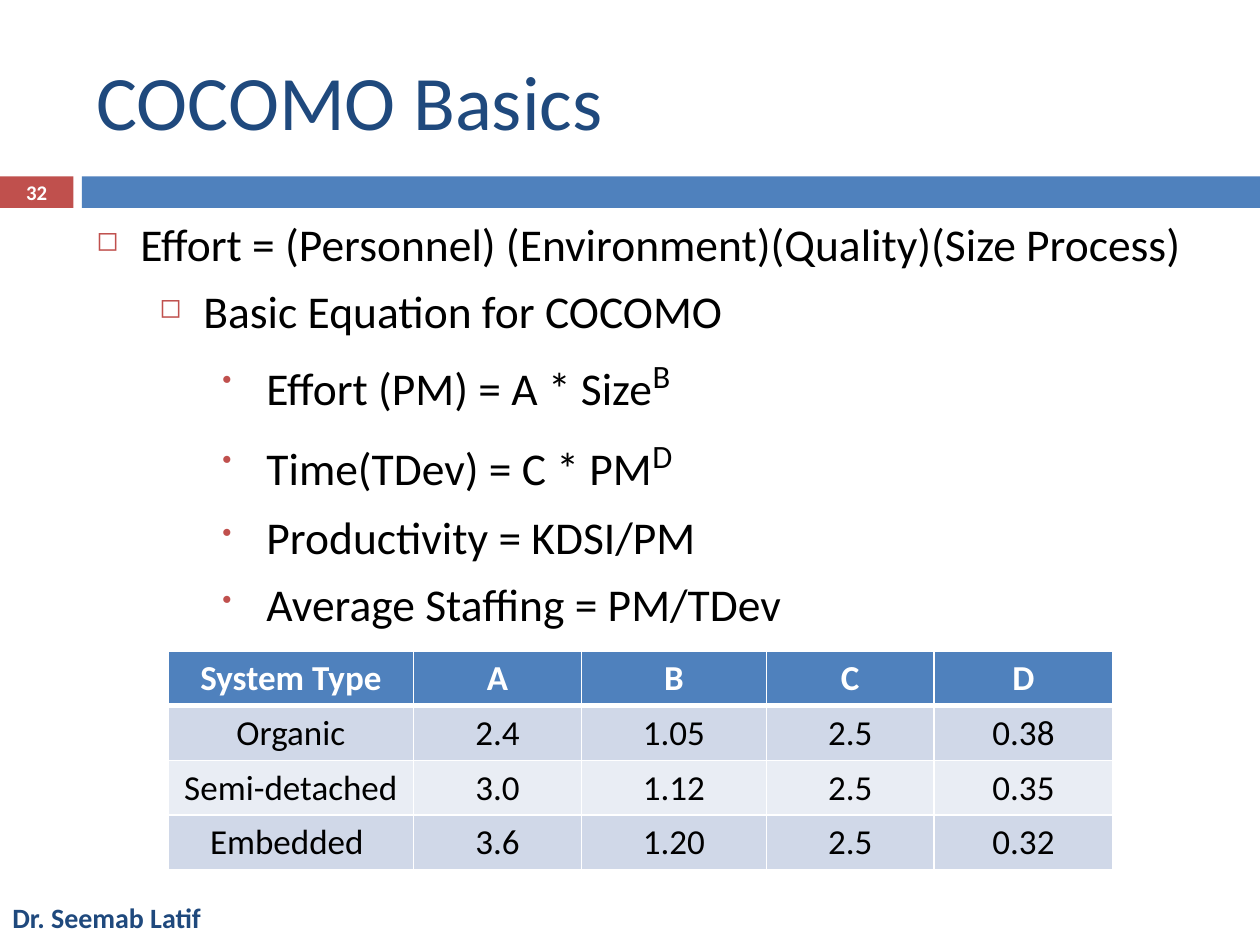
import pptx
import pptx.dml.color
import pptx.enum.shapes
import pptx.enum.text
import pptx.oxml
import pptx.oxml.ns
import pptx.util
from lxml import etree

Pt = pptx.util.Pt
ALIGN = pptx.enum.text.PP_ALIGN
ANCHOR = pptx.enum.text.MSO_ANCHOR

FONT = "Calibri"
NAVY, BLUE, RED = "1F497D", "4F81BD", "C0504D"
WHITE, BLACK = "FFFFFF", "000000"
BANDS = ["D0D8E8", "E9EDF4"]

BARS = [(0, 42, RED), (46.8, 673.2, BLUE)]
BULLETS = [
    (0, "Effort = (Personnel) (Environment)(Quality)(Size Process)", ""),
    (1, "Basic Equation for COCOMO", ""),
    (2, "Effort (PM) = A * Size", "B"),
    (2, "Time(TDev) = C * PM", "D"),
    (2, "Productivity = KDSI/PM", ""),
    (2, "Average Staffing = PM/TDev", ""),
]
BULLET_SIGNS = ["◻", "◻", "•"]
COLUMN_WIDTHS = [140.4, 95.76, 105.84, 95.76, 102.24]
ROW_HEIGHT = 31.2
ROWS = [
    ["System Type", "A", "B", "C", "D"],
    ["Organic", "2.4", "1.05", "2.5", "0.38"],
    ["Semi-detached", "3.0", "1.12", "2.5", "0.35"],
    ["Embedded ", "3.6", "1.20", "2.5", "0.32"],
]


def rgb(value):
    return pptx.dml.color.RGBColor.from_string(value)


def add_text(para, text, size=20, color=BLACK, bold=False, align=None, raised=0):
    span = para.add_run()
    span.text = text
    span.font.name = FONT
    span.font.size = Pt(size)
    span.font.bold = bold
    span.font.color.rgb = rgb(color)
    if align is not None:
        para.alignment = align
    if raised:
        span._r.get_or_add_rPr().set("baseline", str(raised * 1000))


def add_box(page, left, top, width, height, anchor=ANCHOR.TOP):
    box = page.shapes.add_textbox(Pt(left), Pt(top), Pt(width), Pt(height))
    frame = box.text_frame
    frame.word_wrap = True
    frame.vertical_anchor = anchor
    return frame


def add_child(parent, tag, **attributes):
    child = etree.SubElement(parent, pptx.oxml.ns.qn(tag))
    for name, value in attributes.items():
        child.set(name, str(value))
    return child


def set_bullet(para, level):
    properties = para._p.get_or_add_pPr()
    properties.set("marL", str(Pt(25.2 + 36 * level)))
    properties.set("indent", str(Pt(-25.2)))
    color = add_child(properties, "a:buClr")
    add_child(color, "a:srgbClr", val=RED)
    add_child(properties, "a:buSzPct", val=60000)
    add_child(properties, "a:buChar", char=BULLET_SIGNS[level])


def set_borders(cell, bottom):
    properties = cell._tc.get_or_add_tcPr()
    for side, width in [("L", 1), ("R", 1), ("T", 1), ("B", bottom)]:
        line = add_child(properties, "a:ln" + side, w=Pt(width))
        add_child(add_child(line, "a:solidFill"), "a:srgbClr", val=WHITE)


def add_bars(page):
    for left, width, color in BARS:
        bar = page.shapes.add_shape(
            pptx.enum.shapes.MSO_SHAPE.RECTANGLE, Pt(left), Pt(100.8), Pt(width), Pt(18))
        bar.shadow.inherit = False
        bar.fill.solid()
        bar.fill.fore_color.rgb = rgb(color)
        bar.line.fill.background()


def add_bullets(page):
    frame = add_box(page, 48, 120, 648, 246)
    for index, (level, text, exponent) in enumerate(BULLETS):
        para = frame.add_paragraph() if index else frame.paragraphs[0]
        para.level = level
        set_bullet(para, level)
        if index:
            para.space_before = Pt(7)
        add_text(para, text, size=26)
        if exponent:
            add_text(para, exponent, size=32, raised=30)


def add_system_table(page):
    table = page.shapes.add_table(
        len(ROWS), len(COLUMN_WIDTHS), Pt(96), Pt(372),
        Pt(sum(COLUMN_WIDTHS)), Pt(ROW_HEIGHT * len(ROWS))).table
    for column, width in zip(table.columns, COLUMN_WIDTHS):
        column.width = Pt(width)
    for row_index, values in enumerate(ROWS):
        header = row_index == 0
        table.rows[row_index].height = Pt(ROW_HEIGHT)
        for column_index, value in enumerate(values):
            cell = table.cell(row_index, column_index)
            set_borders(cell, 3 if header else 1)
            cell.fill.solid()
            cell.fill.fore_color.rgb = rgb(BLUE if header else BANDS[(row_index - 1) % 2])
            add_text(cell.text_frame.paragraphs[0], value, bold=header,
                     color=WHITE if header else BLACK, align=ALIGN.CENTER)


def main():
    deck = pptx.Presentation()
    deck.slide_width, deck.slide_height = Pt(720), Pt(540)
    page = deck.slides.add_slide(deck.slide_layouts[6])
    add_bars(page)
    footer = add_box(page, 0, 511.2, 132, 28.8)
    add_text(footer.paragraphs[0], "Dr. Seemab Latif", size=16, color=NAVY, bold=True)
    title = add_box(page, 48, 18, 642, 78, ANCHOR.MIDDLE)
    add_text(title.paragraphs[0], "COCOMO Basics", size=44, color=NAVY)
    number = add_box(page, 0, 100, 42, 19.6, ANCHOR.MIDDLE)
    add_text(number.paragraphs[0], "32", size=11.9, color=WHITE, bold=True, align=ALIGN.CENTER)
    add_bullets(page)
    add_system_table(page)
    deck.save("out.pptx")


if __name__ == "__main__":
    main()
